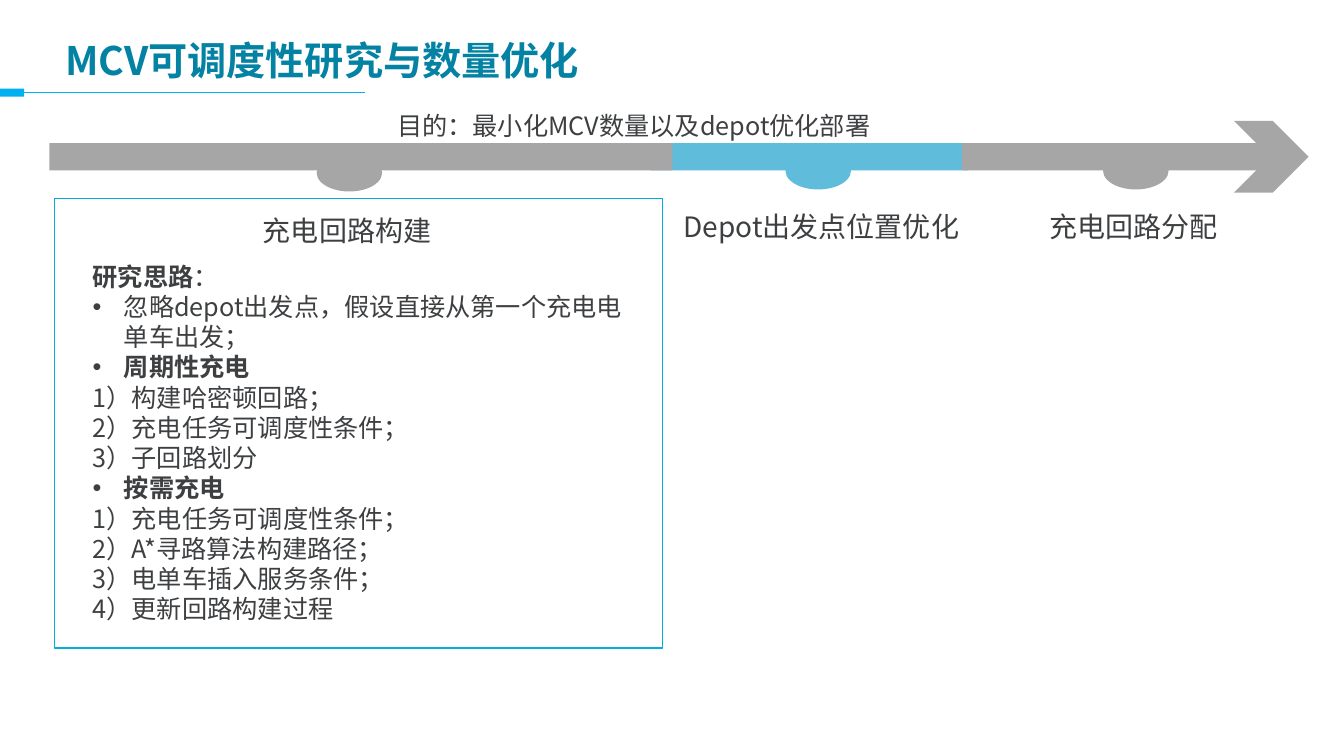
"""Build the MCV schedulability and fleet-size slide."""
from dataclasses import dataclass

from lxml import etree
from pptx import Presentation
from pptx.dml.color import RGBColor
from pptx.enum import shapes, text
from pptx.oxml.ns import qn
from pptx.util import Inches, Pt


@dataclass(frozen=True)
class Theme:
    """Colours, font and type sizes."""
    font: str = "Noto Sans CJK SC"
    title: str = "0382A3"
    ink: str = "3D3F41"
    accent: str = "00B0F0"
    frame: str = "04AEDA"
    active: str = "5FBCDB"
    muted: str = "A6A6A6"
    title_pt: int = 28
    label_pt: int = 20
    body_pt: int = 18


@dataclass(frozen=True)
class Box:
    """Position and size in inches."""
    x: float
    y: float
    w: float
    h: float

    def emu(self) -> tuple:
        """Return the four lengths for python-pptx."""
        return tuple(Inches(v) for v in (self.x, self.y, self.w, self.h))


@dataclass(frozen=True)
class Stage:
    """One section of the timeline."""
    label: str
    label_box: Box
    bar_x: float
    bar_w: float
    knob_x: float
    knob_y: float
    color: str


@dataclass(frozen=True)
class Line:
    """One body paragraph: a bold lead, plain text and an optional bullet."""
    plain: str = ""
    bold: str = ""
    bullet: bool = False


T = Theme()
KIND = shapes.MSO_SHAPE
BAR_Y, BAR_H = 1.42, 0.27
KNOB_W, KNOB_H = 0.65, 0.37
INDENT = 0.31

STAGES = [
    Stage("Depot出发点位置优化", Box(6.68, 2.03, 3.15, 0.44), 6.45, 3.15, 7.79, 1.51, T.active),
    Stage("充电回路分配", Box(10.31, 2.03, 1.93, 0.44), 9.54, 3.07, 10.94, 1.51, T.muted),
    Stage("充电回路构建", Box(2.51, 2.07, 1.93, 0.44), 0.49, 6.18, 3.14, 1.53, T.muted),
]

BODY = [
    Line("：", bold="研究思路"),
    Line("忽略depot出发点，假设直接从第一个充电电单车出发；", bullet=True),
    Line(bold="周期性充电", bullet=True),
    Line("1）构建哈密顿回路；"),
    Line("2）充电任务可调度性条件；"),
    Line("3）子回路划分"),
    Line(bold="按需充电", bullet=True),
    Line("1）充电任务可调度性条件；"),
    Line("2）A*寻路算法构建路径；"),
    Line("3）电单车插入服务条件；"),
    Line("4）更新回路构建过程"),
]


def add_run(p, content: str, *, size: int, color: str = T.ink, bold: bool = False) -> None:
    """Append a formatted run to a paragraph."""
    r = p.add_run()
    r.text = content
    r.font.size = Pt(size)
    r.font.bold = bold
    r.font.color.rgb = RGBColor.from_string(color)
    r.font.name = T.font
    etree.SubElement(r._r.get_or_add_rPr(), qn("a:ea"), typeface=T.font)


def add_bullet(p) -> None:
    """Give a paragraph a hanging round bullet."""
    pPr = p._p.get_or_add_pPr()
    pPr.set("marL", str(Inches(INDENT)))
    pPr.set("indent", str(-Inches(INDENT)))
    etree.SubElement(pPr, qn("a:buFont"), typeface="Arial")
    etree.SubElement(pPr, qn("a:buChar"), char="•")


def add_text(slide, box: Box, lines: list[Line], *, size: int, color: str = T.ink,
             anchor=text.MSO_ANCHOR.TOP) -> None:
    """Add a wrapped text box holding the given lines."""
    tf = slide.shapes.add_textbox(*box.emu()).text_frame
    tf.word_wrap = True
    tf.vertical_anchor = anchor
    for i, line in enumerate(lines):
        p = tf.add_paragraph() if i else tf.paragraphs[0]
        if line.bullet:
            add_bullet(p)
        for content, bold in ((line.bold, True), (line.plain, False)):
            if content:
                add_run(p, content, size=size, color=color, bold=bold)


def add_block(slide, kind, box: Box, *, fill: str = "", outline: str = "") -> None:
    """Add a flat preset shape with an optional fill and outline."""
    sp = slide.shapes.add_shape(kind, *box.emu())
    sp.shadow.inherit = False
    if fill:
        sp.fill.solid()
        sp.fill.fore_color.rgb = RGBColor.from_string(fill)
    else:
        sp.fill.background()
    if outline:
        sp.line.color.rgb = RGBColor.from_string(outline)
        sp.line.width = Pt(1)
    else:
        sp.line.fill.background()


def add_header(slide) -> None:
    """Draw the title with its rule and tab."""
    rule = slide.shapes.add_connector(shapes.MSO_CONNECTOR.STRAIGHT, Inches(3.62),
                                      Inches(0.92), Inches(0.23), Inches(0.92))
    rule.line.color.rgb = RGBColor.from_string(T.accent)
    rule.line.width = Pt(0.75)
    etree.SubElement(rule._element.spPr, qn("a:effectLst"))
    add_block(slide, KIND.RECTANGLE, Box(0, 0.88, 0.24, 0.08), fill=T.accent)
    add_text(slide, Box(0.55, 0.28, 12, 0.63), [Line(bold="MCV可调度性研究与数量优化")],
             size=T.title_pt, color=T.title, anchor=text.MSO_ANCHOR.MIDDLE)


def add_stage(slide, stage: Stage) -> None:
    """Draw a timeline section: knob, bar and label."""
    add_block(slide, KIND.OVAL, Box(stage.knob_x, stage.knob_y, KNOB_W, KNOB_H),
              fill=stage.color)
    add_block(slide, KIND.RECTANGLE, Box(stage.bar_x, BAR_Y, stage.bar_w, BAR_H),
              fill=stage.color)
    add_text(slide, stage.label_box, [Line(stage.label)], size=T.label_pt)


def main() -> None:
    """Build and save the slide."""
    prs = Presentation()
    prs.slide_width, prs.slide_height = Inches(13.33), Inches(7.5)
    slide = prs.slides.add_slide(prs.slide_layouts[6])
    add_header(slide)
    add_text(slide, Box(0.82, 2.54, 5.58, 3.74), BODY, size=T.body_pt)
    add_block(slide, KIND.RECTANGLE, Box(0.54, 1.97, 6.03, 4.46), outline=T.frame)
    add_text(slide, Box(3.84, 1.04, 6.23, 0.41),
             [Line("目的：最小化MCV数量以及depot优化部署")], size=T.body_pt)
    add_block(slide, KIND.CHEVRON, Box(12.24, 1.2, 0.74, 0.71), fill=T.muted)
    for stage in STAGES:
        add_stage(slide, stage)
    prs.save("out.pptx")


if __name__ == "__main__":
    main()
